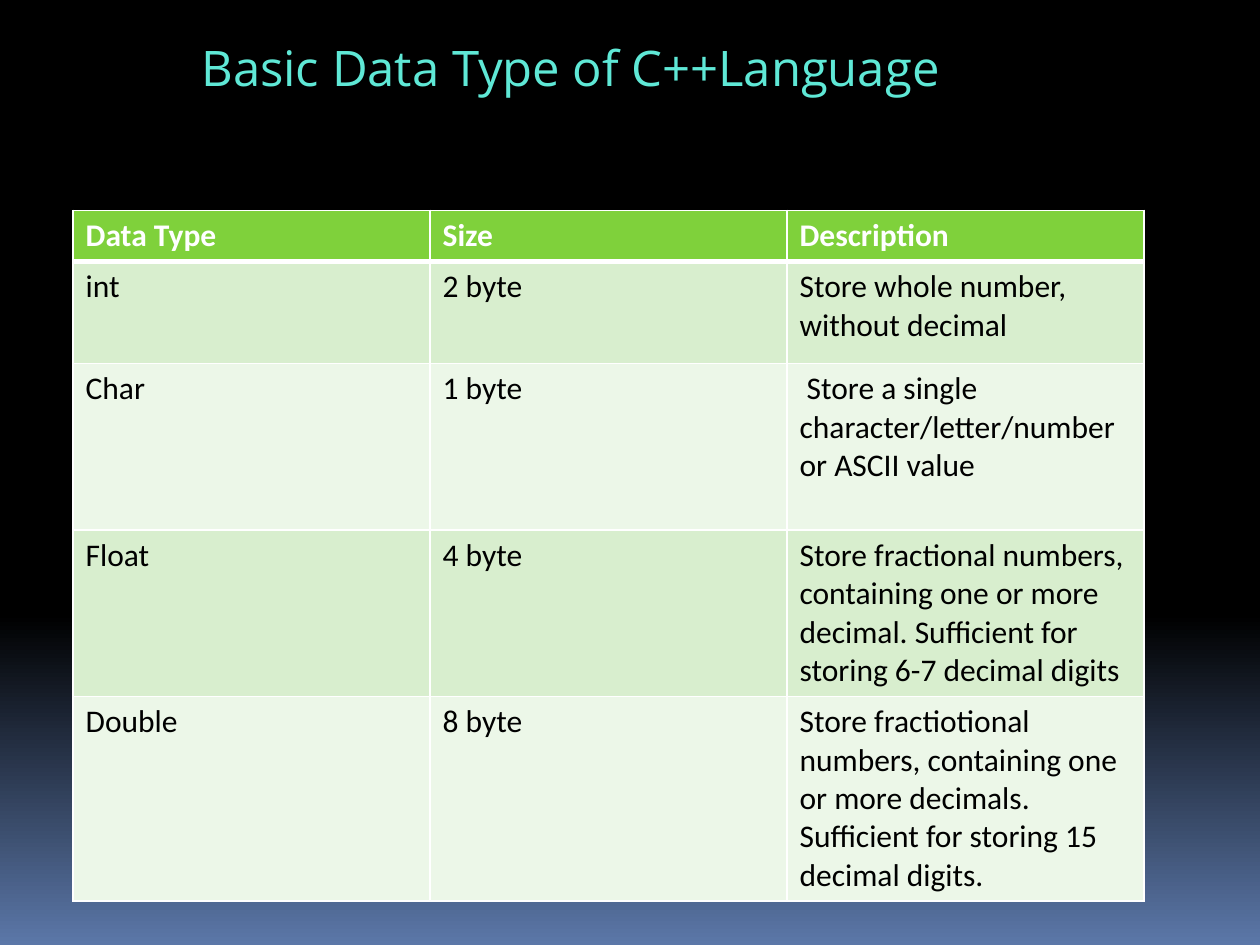
"""Build a slide with a table of the basic C++ data types."""
from copy import deepcopy

from lxml.etree import SubElement
from pptx import Presentation
from pptx.dml.color import RGBColor as Rgb
from pptx.enum.text import MSO_ANCHOR as Anchor
from pptx.oxml.ns import qn
from pptx.util import Inches, Pt

TITLE = "Basic Data Type of C++Language"
ROWS = [
    ("Data Type", "Size", "Description"),
    ("int", "2 byte", "Store whole number, without decimal"),
    ("Char", "1 byte", " Store a single character/letter/number or ASCII value"),
    ("Float", "4 byte", "Store fractional numbers, containing one or more decimal. "
     "Sufficient for storing 6-7 decimal digits"),
    ("Double", "8 byte", "Store fractiotional numbers, containing one or more decimals. "
     "Sufficient for storing 15 decimal digits."),
]
ROW_HEIGHTS = [0.4, 0.81, 1.32, 1.32, 1.62]
COLUMN_WIDTH = 8.5 / 3
COLORS = {
    "black": "000000", "blue": "5B77A8", "title": "5FE8D6", "white": "FFFFFF",
    "header": "7FD13B", "odd": "D8EECE", "even": "ECF7E8",
}
BACKGROUND_STOPS = [(0, "black"), (0.65, "black"), (1, "blue")]


def color(name):
    """Return the named colour."""
    return Rgb.from_string(COLORS[name])


def write(frame, text, font="Calibri", size=18, ink="black", bold=False):
    """Put formatted text into a text frame."""
    span = frame.paragraphs[0].add_run()
    span.text = text
    span.font.name, span.font.size, span.font.bold = font, Pt(size), bold
    span.font.color.rgb = color(ink)


def draw_borders(cell, bottom=1):
    """Give a cell white borders."""
    properties = cell._tc.get_or_add_tcPr()
    for index, (side, width) in enumerate(zip("LRTB", (1, 1, 1, bottom))):
        line = properties.makeelement(qn(f"a:ln{side}"), {"w": str(Pt(width))})
        fill = SubElement(line, qn("a:solidFill"))
        SubElement(fill, qn("a:srgbClr"), val=COLORS["white"])
        properties.insert(index, line)


def paint_background(page):
    """Paint the vertical background gradient."""
    fill = page.background.fill
    fill.gradient()
    fill.gradient_angle = 270
    stop_list = page.element.find(".//" + qn("a:gsLst"))
    stop_list.append(deepcopy(stop_list[-1]))
    for stop, (position, name) in zip(fill.gradient_stops, BACKGROUND_STOPS):
        stop.position = position
        stop.color.rgb = color(name)


def add_title(page):
    """Add the slide title."""
    box = page.shapes.add_textbox(Inches(1.5), Inches(0.25), Inches(7), Inches(0.57))
    box.text_frame.word_wrap = True
    box.text_frame.vertical_anchor = Anchor.MIDDLE
    write(box.text_frame, TITLE, font="Open Sans", size=28, ink="title")


def add_type_table(page):
    """Add the table of data types."""
    columns = len(ROWS[0])
    table = page.shapes.add_table(
        len(ROWS), columns, Inches(0.58), Inches(1.67),
        Inches(COLUMN_WIDTH * columns), Inches(sum(ROW_HEIGHTS))).table
    for column in table.columns:
        column.width = Inches(COLUMN_WIDTH)
    for index, (texts, height) in enumerate(zip(ROWS, ROW_HEIGHTS)):
        header = index == 0
        table.rows[index].height = Inches(height)
        shade = "header" if header else "odd" if index % 2 else "even"
        for cell, text in zip(table.rows[index].cells, texts):
            cell.fill.solid()
            cell.fill.fore_color.rgb = color(shade)
            draw_borders(cell, bottom=3 if header else 1)
            write(cell.text_frame, text, ink="white" if header else "black", bold=header)


deck = Presentation()
deck.slide_width, deck.slide_height = Inches(10), Inches(7.5)
page = deck.slides.add_slide(deck.slide_layouts[6])
paint_background(page)
add_type_table(page)
add_title(page)
deck.save("out.pptx")
